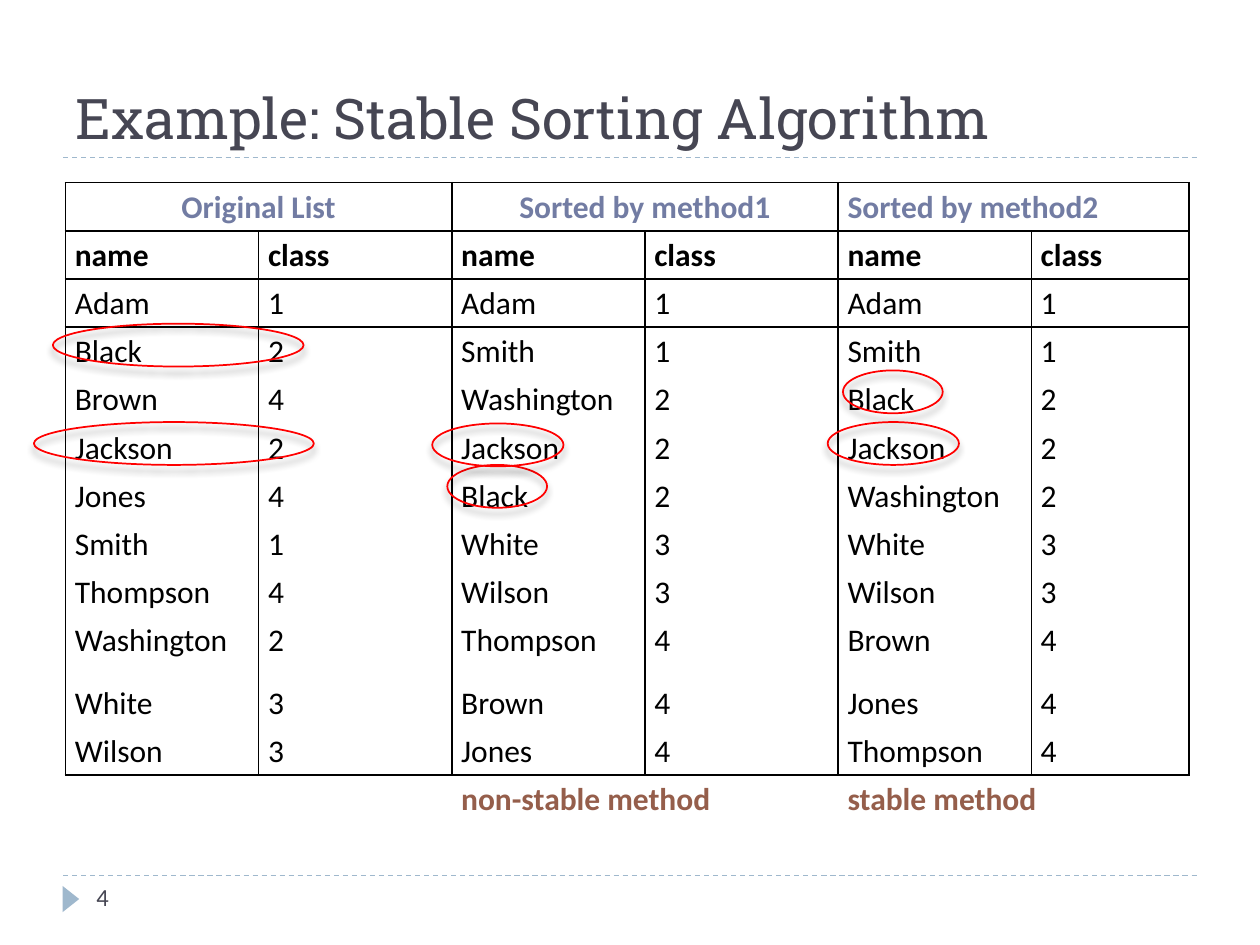
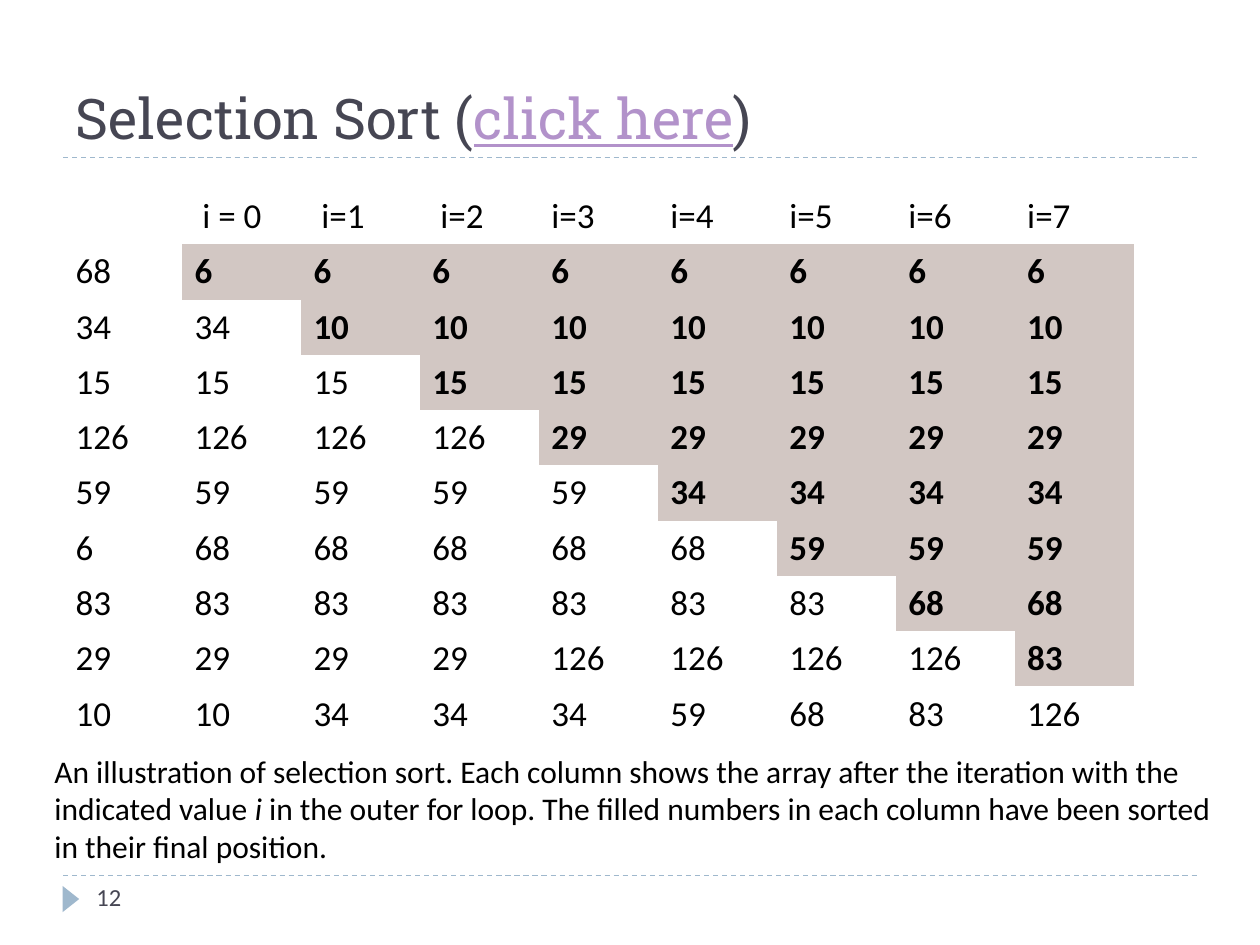
from lxml import etree
from pptx import Presentation
from pptx.dml.color import RGBColor
from pptx.enum import dml, shapes, text
from pptx.oxml import ns
from pptx.util import Pt

INK, BLACK, BAND = "464653", "000000", "9FB8CD"
BLUE, BROWN, RED = "727CA3", "955E4B", "FF0000"
LINK, DONE = "B292CA", "D2C7C3"
HEAD, BODY = "Roboto Slab", "Calibri"
PLAIN = "{2D5ABB26-0587-4C30-8999-92F81FD0307C}"  # no table style, no grid

NAMES = [("Adam", 1), ("Black", 2), ("Brown", 4), ("Jackson", 2), ("Jones", 4),
         ("Smith", 1), ("Thompson", 4), ("Washington", 2), ("White", 3), ("Wilson", 3)]
LOOSE = ["Adam", "Smith", "Washington", "Jackson", "Black",
         "White", "Wilson", "Thompson", "Brown", "Jones"]
STABLE = ["Adam", "Smith", "Black", "Jackson", "Washington",
          "White", "Wilson", "Brown", "Jones", "Thompson"]
ARRAY = [68, 34, 15, 126, 59, 6, 83, 29, 10]


def color(code):
    return RGBColor.from_string(code)


def pts(box):
    return [Pt(n) for n in box]


def sub(parent, tag, **attrs):
    return etree.SubElement(parent, ns.qn(tag), attrs)


def write(frame, parts, size=18, font=BODY, ink=BLACK, bold=False, align=None, lead=None):
    """Fill a text frame; parts is a string or a list of (text, changes)."""
    para = frame.paragraphs[0]
    para.alignment, para.line_spacing = align, lead
    for words, diff in [(parts, {})] if isinstance(parts, str) else parts:
        run = para.add_run()
        run.text = words
        run.font.size, run.font.name = Pt(size), font
        run.font.bold = bold
        run.font.italic = diff.get("italic", False)
        run.font.underline = diff.get("under", False)
        run.font.color.rgb = color(diff.get("ink", ink))


def textbox(slide, box, parts, **fmt):
    frame = slide.shapes.add_textbox(*pts(box)).text_frame
    frame.word_wrap = True
    write(frame, parts, **fmt)


def rule(slide, y):
    line = slide.shapes.add_connector(shapes.MSO_CONNECTOR.STRAIGHT, *pts((36, y, 684, y)))
    line.line.color.rgb = color(BAND)
    line.line.width = Pt(0.75)
    line.line.dash_style = dml.MSO_LINE.DASH
    sub(line._element.spPr, "a:effectLst")


def base(deck, title, number):
    """Add a slide with the shared title, rules and page number."""
    slide = deck.slides.add_slide(deck.slide_layouts[5])
    for y in (500.4, 90):
        rule(slide, y)
    mark = slide.shapes.add_shape(shapes.MSO_SHAPE.ISOSCELES_TRIANGLE, *pts((33, 509, 15, 9.5)))
    mark.rotation = 90
    mark.shadow.inherit = False
    mark.fill.solid()
    mark.fill.fore_color.rgb = color(BAND)
    mark.line.fill.background()

    head = slide.shapes.title
    head.left, head.top, head.width, head.height = pts((36, 12, 648, 78))
    frame = head.text_frame
    frame.auto_size = text.MSO_AUTO_SIZE.NONE
    frame.vertical_anchor = text.MSO_ANCHOR.BOTTOM
    write(frame, title, size=32, font=HEAD, ink=INK, align=text.PP_ALIGN.LEFT)
    textbox(slide, (48, 500.4, 124.5, 29), str(number), size=14, ink=INK)
    return slide


def grid(slide, left, top, cols, rows):
    """Add an unstyled table with the given column widths and row heights."""
    box = pts((left, top, sum(cols), sum(rows)))
    table = slide.shapes.add_table(len(rows), len(cols), *box).table
    table.first_row = table.horz_banding = False
    table._tbl.tblPr.find(ns.qn("a:tableStyleId")).text = PLAIN
    for col, wide in zip(table.columns, cols):
        col.width = Pt(wide)
    for row, high in zip(table.rows, rows):
        row.height = Pt(high)
    return table


def border(cell, sides):
    """Draw black borders on the named sides, given in schema order LRTB."""
    props = cell._tc.get_or_add_tcPr()
    for side in sides:
        line = sub(props, f"a:ln{side}", w=str(Pt(1)))
        sub(sub(line, "a:solidFill"), "a:srgbClr", val=BLACK)


def ring(slide, box):
    oval = slide.shapes.add_shape(shapes.MSO_SHAPE.OVAL, *pts(box))
    oval.fill.background()
    oval.line.color.rgb = color(RED)
    oval.line.width = Pt(1)
    glow = sub(sub(oval._element.spPr, "a:effectLst"), "a:outerShdw", blurRad=str(Pt(4)),
               dist=str(Pt(3.4)), dir="5400000", rotWithShape="0")
    sub(sub(glow, "a:srgbClr", val=BLACK), "a:alpha", val="40000")


def name_table(slide, left, top):
    ranks = dict(NAMES)
    lists = [[name for name, rank in NAMES], LOOSE, STABLE]
    heads = ["Original List", "Sorted by method1", "Sorted by method2"]
    feet = ["", "non-stable method", "stable method"]
    heights = [27.5] * 9 + [36] + [27.5] * 2 + [44.5]
    table = grid(slide, left, top, [110.4] * 5 + [90], heights)
    last = len(heights) - 1
    data = [[part for head in heads for part in (head, "")], ["name", "class"] * 3]
    data += [[part for name in line for part in (name, str(ranks[name]))] for line in zip(*lists)]
    data += [[part for foot in feet for part in (foot, "")]]

    for r, row in enumerate(data):
        sides = "LRTB" if r < 3 else "LRB" if r == last - 1 else "T" if r == last else "LR"
        for c, words in enumerate(row):
            cell = table.cell(r, c)
            cell.margin_left = cell.margin_right = Pt(5.4)
            cell.margin_top = cell.margin_bottom = 0
            border(cell, sides)
            if words:
                write(cell.text_frame, words, lead=1.15, bold=r in (0, 1, last),
                      ink={0: BLUE, last: BROWN}.get(r, BLACK),
                      align=text.PP_ALIGN.CENTER if r == 0 and c < 4 else None)
    for r, c in [(0, 0), (0, 2), (0, 4), (last, 2), (last, 4)]:
        table.cell(r, c).merge(table.cell(r, c + 1))


def stable_slide(deck):
    slide = base(deck, "Example: Stable Sorting Algorithm", 4)
    name_table(slide, 37.4, 104.4)
    for left, top, wide in [(481.7, 211.7, 57), (255.6, 265.7, 57), (473, 241.2, 75),
                            (247, 242, 75), (30.2, 185, 143.3), (19.4, 241.2, 160)]:
        ring(slide, (left, top, wide, 24.5))


def passes(array):
    """Return the array before sorting and after each pass of selection sort."""
    steps = [list(array)]
    for i in range(len(array) - 1):
        now = list(steps[-1])
        low = now.index(min(now[i:]))
        now[i], now[low] = now[low], now[i]
        steps.append(now)
    return steps


def pass_table(slide, left, top):
    steps = passes(ARRAY)
    heads = ["", " i = 0", " i=1", " i=2"] + [f"i={i}" for i in range(3, 8)]
    table = grid(slide, left, top, [68] * len(steps), [31.6] * (len(ARRAY) + 1))
    for c, (head, step) in enumerate(zip(heads, steps)):
        for r, value in enumerate([head] + step):
            cell = table.cell(r, c)
            done = 0 < r <= c
            if done:
                cell.fill.solid()
                cell.fill.fore_color.rgb = color(DONE)
            if value != "":
                write(cell.text_frame, str(value), size=20, bold=done)


def selection_slide(deck):
    title = [("Selection Sort (", {}), ("click here", {"ink": LINK, "under": True}), (")", {})]
    slide = base(deck, title, 12)
    pass_table(slide, 36, 108)
    textbox(slide, (24, 426, 678, 72.7), [
        ("An illustration of selection sort. Each column shows the array after the "
         "iteration with the indicated value ", {}),
        ("i", {"italic": True}),
        (" in the outer for loop. The filled numbers in each column have been sorted "
         "in their final position.", {})])


def main():
    deck = Presentation()
    deck.slide_width, deck.slide_height = pts((720, 540))
    stable_slide(deck)
    selection_slide(deck)
    deck.save("out.pptx")


if __name__ == "__main__":
    main()
